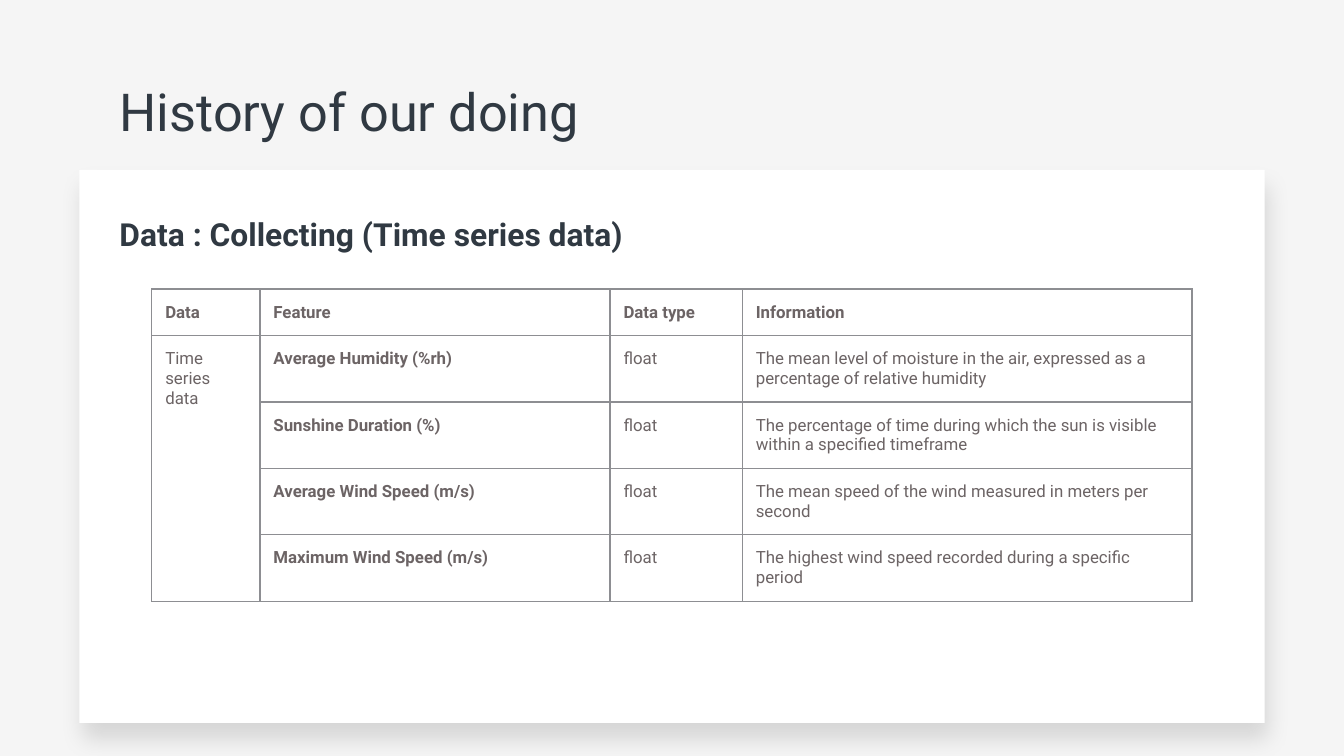
import pptx
import pptx.dml.color
import pptx.enum.shapes
import pptx.enum.text
import pptx.oxml
import pptx.oxml.ns
import pptx.util

WIDTH = pptx.util.Inches(10)
HEIGHT = WIDTH * 9 // 16
FONT = "Roboto"
DARK, GRAY, RULE = "303942", "6C6465", "8D8E92"

HEADERS = ["Data", "Feature", "Data type", "Information"]
GROUP = "Time series data"
DATA_TYPE = "float"
FEATURES = [
    ("Average Humidity (%rh)",
     "The mean level of moisture in the air, expressed as a percentage of relative humidity"),
    ("Sunshine Duration (%)",
     "The percentage of time during which the sun is visible within a specified timeframe"),
    ("Average Wind Speed (m/s)",
     "The mean speed of the wind measured in meters per second"),
    ("Maximum Wind Speed (m/s)",
     "The highest wind speed recorded during a specific period"),
]
COLUMNS = [8.05, 26.05, 9.85, 33.45]
HEADER_ROW, FEATURE_ROW = 3.4, 4.9


def share(percent):
    """Length as a percentage of the slide's width."""
    return round(WIDTH * percent / 100)


def rgb(color):
    return pptx.dml.color.RGBColor.from_string(color)


def add_xml(parent, xml):
    ns = pptx.oxml.ns.nsdecls("a")
    parent.append(pptx.oxml.parse_xml(xml.replace(" ", f" {ns} ", 1)))


def write(tf, text, size, color=DARK, bold=False, after=0):
    p = tf.paragraphs[0]
    p.alignment = pptx.enum.text.PP_ALIGN.LEFT
    p.space_after = pptx.util.Pt(after)
    r = p.add_run()
    r.text = text
    r.font.name = FONT
    r.font.size = pptx.util.Pt(size)
    r.font.bold = bold
    r.font.color.rgb = rgb(color)


def set_frame(tf, anchor):
    tf.word_wrap = True
    tf.auto_size = pptx.enum.text.MSO_AUTO_SIZE.NONE
    tf.vertical_anchor = anchor
    tf.margin_left = tf.margin_right = share(1)
    tf.margin_top = tf.margin_bottom = share(1)


def add_card(s, *box):
    sp = s.shapes.add_shape(pptx.enum.shapes.MSO_SHAPE.RECTANGLE, *map(share, box))
    sp.fill.solid()
    sp.fill.fore_color.rgb = rgb("FFFFFF")
    sp.line.fill.background()
    blur, distance = pptx.util.Pt(12.4), pptx.util.Pt(9)
    add_xml(sp._element.spPr,
            f'<a:effectLst ><a:outerShdw blurRad="{blur}" dist="{distance}" '
            f'dir="{76 * 60000}" algn="bl" rotWithShape="0"><a:srgbClr val="000000">'
            '<a:alpha val="13000"/></a:srgbClr></a:outerShdw></a:effectLst>')
    # Behind the title
    s.shapes._spTree.insert(2, sp._element)


def set_title(s, text, *box):
    sp = s.shapes.title
    sp.left, sp.top, sp.width, sp.height = map(share, box)
    set_frame(sp.text_frame, pptx.enum.text.MSO_ANCHOR.TOP)
    write(sp.text_frame, text, 28)


def add_heading(s, text, *box):
    sp = s.shapes.add_textbox(*map(share, box))
    set_frame(sp.text_frame, pptx.enum.text.MSO_ANCHOR.BOTTOM)
    write(sp.text_frame, text, 17, bold=True)


def style_cell(cell):
    cell.margin_left = cell.margin_right = share(1)
    cell.margin_top = cell.margin_bottom = share(1)
    props = cell._tc.get_or_add_tcPr()
    for side in ("lnL", "lnR", "lnT", "lnB"):
        add_xml(props, f'<a:{side} w="{pptx.util.Pt(0.75)}"><a:solidFill>'
                       f'<a:srgbClr val="{RULE}"/></a:solidFill></a:{side}>')
    cell.fill.background()


def add_feature_table(s, left, top):
    rows = [HEADERS] + [[GROUP if i == 0 else "", name, DATA_TYPE, info]
                        for i, (name, info) in enumerate(FEATURES)]
    heights = [HEADER_ROW] + [FEATURE_ROW] * len(FEATURES)
    box = (left, top, sum(COLUMNS), sum(heights))
    table = s.shapes.add_table(len(rows), len(COLUMNS), *map(share, box)).table
    table.first_row = table.horz_banding = False
    for column, width in zip(table.columns, COLUMNS):
        column.width = share(width)
    for row, height in zip(table.rows, heights):
        row.height = share(height)

    # The group name spans all feature rows
    table.cell(1, 0).merge(table.cell(len(FEATURES), 0))
    for i, texts in enumerate(rows):
        for j, text in enumerate(texts):
            cell = table.cell(i, j)
            style_cell(cell)
            if text:
                spaced = j in (1, 2) or (i == 0 and j == 3)
                write(cell.text_frame, text, 9, GRAY, bold=i == 0 or j == 1,
                      after=16 if spaced else 0)


def main():
    prs = pptx.Presentation()
    prs.slide_width, prs.slide_height = WIDTH, HEIGHT
    s = prs.slides.add_slide(prs.slide_layouts[5])
    s.background.fill.solid()
    s.background.fill.fore_color.rgb = rgb("F5F5F5")

    add_card(s, 5.9, 12.65, 88.2, 41.15)
    set_title(s, "History of our doing", 7.9, 4.9, 88.2, 6.3)
    add_feature_table(s, 11.3, 21.5)
    add_heading(s, "Data : Collecting (Time series data)", 7.9, 14, 65.2, 5.8)
    prs.save("out.pptx")


if __name__ == "__main__":
    main()
